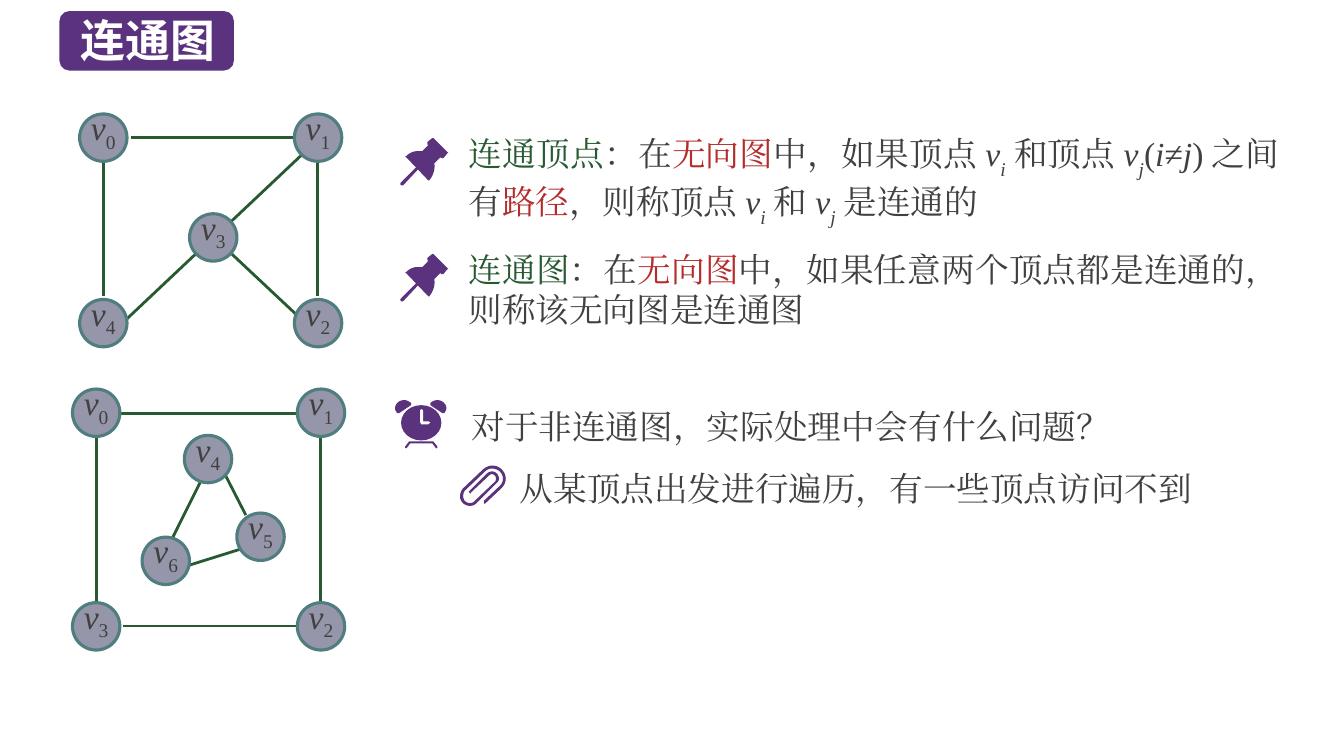
from lxml import etree
from pptx import Presentation
from pptx.dml.color import RGBColor
from pptx.enum.shapes import MSO_CONNECTOR, MSO_SHAPE
from pptx.enum.text import MSO_ANCHOR, PP_ALIGN
from pptx.oxml.ns import qn
from pptx.util import Pt

OVAL, ROUNDED = MSO_SHAPE.OVAL, MSO_SHAPE.ROUNDED_RECTANGLE
STRAIGHT = MSO_CONNECTOR.STRAIGHT
MIDDLE = MSO_ANCHOR.MIDDLE
LEFT, CENTER, JUSTIFY = PP_ALIGN.LEFT, PP_ALIGN.CENTER, PP_ALIGN.JUSTIFY

PURPLE = RGBColor(0x5A, 0x32, 0x7D)
GREEN = RGBColor(0x28, 0x5A, 0x32)
RED = RGBColor(0xB4, 0x2D, 0x2D)
TEXT = RGBColor(0x40, 0x40, 0x40)
NODE_FILL = RGBColor(0x96, 0x96, 0xAA)
NODE_LINE = RGBColor(0x50, 0x7D, 0x7D)
WHITE = RGBColor(0xFF, 0xFF, 0xFF)

SERIF, SANS = "Times New Roman", "Noto Sans CJK SC"
NODE_SIZE = 33.84
ICON_UNIT = 0.72

PIN_HEAD = [(47, 14), (33, 0), (32, 0), (27, 4), (27, 6), (28, 7), (22, 13),
            (20, 13, 19, 13, 17, 13), (13, 13, 9, 15, 6, 18), (5, 18, 5, 19, 6, 19),
            (28, 42), (29, 42), (33, 37, 35, 31, 34, 25), (40, 19), (41, 20), (43, 20),
            (47, 15), (48, 15)]
PIN_NEEDLE = [(2, 47), (1, 47), (0, 46, 0, 45, 1, 44), (16, 29), (17, 28, 18, 28, 18, 29),
              (19, 29, 19, 30, 18, 31), (3, 47)]
CLOCK_FEET = [(42, 46), (38, 41), (14, 41), (10, 46), (10, 47), (11, 48), (12, 47), (15, 43),
              (37, 43), (40, 47), (41, 48), (42, 47)]
CLOCK_BELL = [(9, 0), (4, 0, 0, 4, 0, 8), (0, 10, 1, 11, 2, 13), (4, 13), (16, 5), (16, 3),
              (15, 2, 12, 0, 9, 0)]
CLOCK_HANDS = [(33, 24), (26, 24), (25, 22), (25, 10), (26, 9), (28, 10), (28, 21), (33, 21),
               (35, 22)]
CLIP = [(43, 4), (40, 1, 37, 0, 33, 0), (30, 0, 26, 2, 24, 4), (4, 23), (1, 27, 0, 33, 4, 37),
        (6, 39, 9, 40, 11, 40), (14, 40, 16, 39, 18, 37), (38, 17), (39, 16, 40, 15, 40, 13),
        (40, 11, 39, 9, 38, 8), (35, 5, 31, 5, 28, 8), (11, 25), (10, 26, 10, 27, 11, 27),
        (11, 28, 12, 28, 12, 27), (30, 10), (32, 8, 34, 8, 36, 10), (37, 11, 37, 12, 37, 13),
        (37, 14, 37, 15, 36, 16), (16, 35), (14, 38, 9, 38, 6, 35), (4, 32, 4, 28, 6, 25),
        (26, 6), (28, 4, 30, 3, 33, 3), (36, 3, 39, 4, 41, 6), (45, 10, 45, 16, 41, 20),
        (25, 35), (25, 36, 25, 37, 25, 37), (26, 38), (27, 37), (43, 22), (48, 17, 48, 9, 43, 4)]

CONNECTED_NODES = [(0, 0), (153.4, 0), (153.4, 132.5), (78.5, 71.3), (0, 132.5)]
CONNECTED_EDGES = [(36.7, 16.6, 155.5, 16.6), (17.3, 35.3, 17.3, 130.3),
                   (169.9, 35.3, 169.9, 130.3), (159.1, 28.8, 108, 77),
                   (82.8, 100.1, 31.7, 148.3), (108.7, 100.1, 155.5, 144)]
SPLIT_NODES = [(0, 0), (160.6, 0), (160.6, 152.6), (0, 152.6), (79.9, 33.1), (117.4, 88.6),
               (49.7, 105.8)]
SPLIT_EDGES = [(34.6, 17.3, 159.8, 17.3), (17.3, 33.8, 17.3, 152.6),
               (177.1, 33.8, 177.1, 152.6), (36, 169.2, 160.6, 169.2),
               (91.4, 66.2, 71.3, 106.6), (109.4, 61.9, 123.8, 90), (119.5, 114.5, 82.8, 126)]

VI = [("v", TEXT, True), ("i", TEXT, True, -30)]
VJ = [("v", TEXT, True), ("j", TEXT, True, -30)]
VERTEX_RUNS = [("连通顶点", GREEN), ("：在", TEXT), ("无向图", RED), ("中，如果顶点", TEXT), *VI,
               ("和顶点", TEXT), *VJ, ("(", TEXT), ("i", TEXT, True), ("≠", TEXT),
               ("j", TEXT, True), (")之间有", TEXT), ("路径", RED), ("，则称顶点", TEXT), *VI,
               ("和", TEXT), *VJ, ("是连通的", TEXT)]
GRAPH_RUNS = [("连通图", GREEN), ("：在", TEXT), ("无向图", RED),
              ("中，如果任意两个顶点都是连通的，则称该无向图是连通图", TEXT)]
QUESTION_RUNS = [("对于非连通图，实际处理中会有什么问题？", TEXT)]
ANSWER_RUNS = [("从某顶点出发进行遍历，有一些顶点访问不到", TEXT)]


def add_run(p, text, color, italic=False, baseline=0, font=SERIF):
    """Append a run in one font for Latin and Chinese, with an optional subscript."""
    r = p.add_run()
    r.text = text
    r.font.color.rgb = color
    r.font.italic = italic
    r.font.name = font
    rPr = r.font._element
    etree.SubElement(rPr, qn("a:ea")).set("typeface", font)
    if baseline:
        rPr.set("baseline", str(baseline * 1000))


def paint(sp, fill, line=None):
    """Give a shape a plain fill and an optional outline."""
    sp.shadow.inherit = False
    sp.fill.solid()
    sp.fill.fore_color.rgb = fill
    if line is None:
        sp.line.fill.background()
    else:
        sp.line.color.rgb = line
        sp.line.width = Pt(2.25)


def add_title(slide, left, top, width, height):
    """Place the title on its purple badge."""
    badge = slide.shapes.add_shape(ROUNDED, Pt(left), Pt(top), Pt(width), Pt(height))
    paint(badge, PURPLE)
    title = slide.shapes.title
    title.left, title.top = Pt(left + 8), Pt(top - 2.9)
    title.width, title.height = Pt(width - 8), Pt(height + 3.6)
    badge._element.addnext(title._element)
    tf = title.text_frame
    tf.vertical_anchor = MIDDLE
    tf.word_wrap = False
    p = tf.paragraphs[0]
    p.alignment = LEFT
    p.font.size = Pt(32)
    p.font.bold = True
    add_run(p, "连通图", WHITE, font=SANS)


def add_graph(slide, left, top, nodes, edges):
    """Draw edges and numbered vertices relative to the graph's corner."""
    for x1, y1, x2, y2 in edges:
        edge = slide.shapes.add_connector(STRAIGHT, Pt(left + x1), Pt(top + y1),
                                          Pt(left + x2), Pt(top + y2))
        edge.line.color.rgb = GREEN
        edge.line.width = Pt(2)
        etree.SubElement(edge._element.spPr, qn("a:effectLst"))
    for number, (x, y) in enumerate(nodes):
        node = slide.shapes.add_shape(OVAL, Pt(left + x), Pt(top + y), Pt(NODE_SIZE), Pt(NODE_SIZE))
        paint(node, NODE_FILL, NODE_LINE)
        tf = node.text_frame
        tf.margin_left = tf.margin_top = tf.margin_right = tf.margin_bottom = 0
        tf.vertical_anchor = MIDDLE
        p = tf.paragraphs[0]
        p.alignment = CENTER
        p.line_spacing = Pt(22)
        p.font.size = Pt(24)
        add_run(p, "v", TEXT, True)
        add_run(p, str(number), TEXT, baseline=-25)


def add_outline(slide, left, top, outline, color=PURPLE, steps=6):
    """Fill an outline of straight and cubic segments given in icon units."""
    points = [outline[0]]
    for *controls, x, y in outline[1:]:
        if controls:
            ax, ay = points[-1]
            bx, by, cx, cy = controls
            for t in (i / steps for i in range(1, steps)):
                u = 1 - t
                weights = u ** 3, 3 * u * u * t, 3 * u * t * t, t ** 3
                points.append(tuple(sum(w * v for w, v in zip(weights, axis))
                                    for axis in ((ax, bx, cx, x), (ay, by, cy, y))))
        points.append((x, y))
    scaled = [(Pt(x * ICON_UNIT), Pt(y * ICON_UNIT)) for x, y in points]
    builder = slide.shapes.build_freeform(*scaled[0])
    builder.add_line_segments(scaled[1:])
    paint(builder.convert_to_shape(Pt(left), Pt(top)), color)


def add_pin(slide, left, top):
    """Draw a push pin."""
    for outline in (PIN_HEAD, PIN_NEEDLE):
        add_outline(slide, left, top, outline)


def add_clock(slide, left, top):
    """Draw an alarm clock with mirrored bells."""
    right_bell = [tuple(v if i % 2 else 51 - v for i, v in enumerate(s)) for s in CLOCK_BELL]
    for outline in (CLOCK_FEET, CLOCK_BELL, right_bell):
        add_outline(slide, left, top, outline)
    face = slide.shapes.add_shape(OVAL, Pt(left + 4.3), Pt(top + 3.6), Pt(28.8), Pt(25.2))
    paint(face, PURPLE)
    add_outline(slide, left, top, CLOCK_HANDS, WHITE)


def add_text(slide, left, top, width, height, runs, spacing=None):
    """Write one justified paragraph of styled runs."""
    tf = slide.shapes.add_textbox(Pt(left), Pt(top), Pt(width), Pt(height)).text_frame
    tf.word_wrap = True
    p = tf.paragraphs[0]
    p.alignment = JUSTIFY
    if spacing:
        p.line_spacing = Pt(spacing)
    p.font.size = Pt(24)
    for run in runs:
        add_run(p, *run)


def main():
    """Build the slide on connected graphs."""
    prs = Presentation()
    prs.slide_width, prs.slide_height = Pt(960), Pt(540)
    slide = prs.slides.add_slide(prs.slide_layouts[5])
    add_title(slide, 42.5, 7.9, 124.6, 42.5)
    add_graph(slide, 56.9, 81.4, CONNECTED_NODES, CONNECTED_EDGES)
    add_graph(slide, 51.8, 277.9, SPLIT_NODES, SPLIT_EDGES)
    for top, runs in ((91.4, VERTEX_RUNS), (174.2, GRAPH_RUNS)):
        add_text(slide, 327.6, top, 593.3, 65.5, runs)
        add_pin(slide, 285.8, top + 7.2)
    add_text(slide, 329.8, 280.1, 573.1, 42.5, QUESTION_RUNS, 35)
    add_clock(slide, 282.2, 285.8)
    add_text(slide, 364.3, 324.7, 512.6, 42.5, ANSWER_RUNS, 35)
    add_outline(slide, 327.6, 332.6, CLIP)
    prs.save("out.pptx")


if __name__ == "__main__":
    main()
